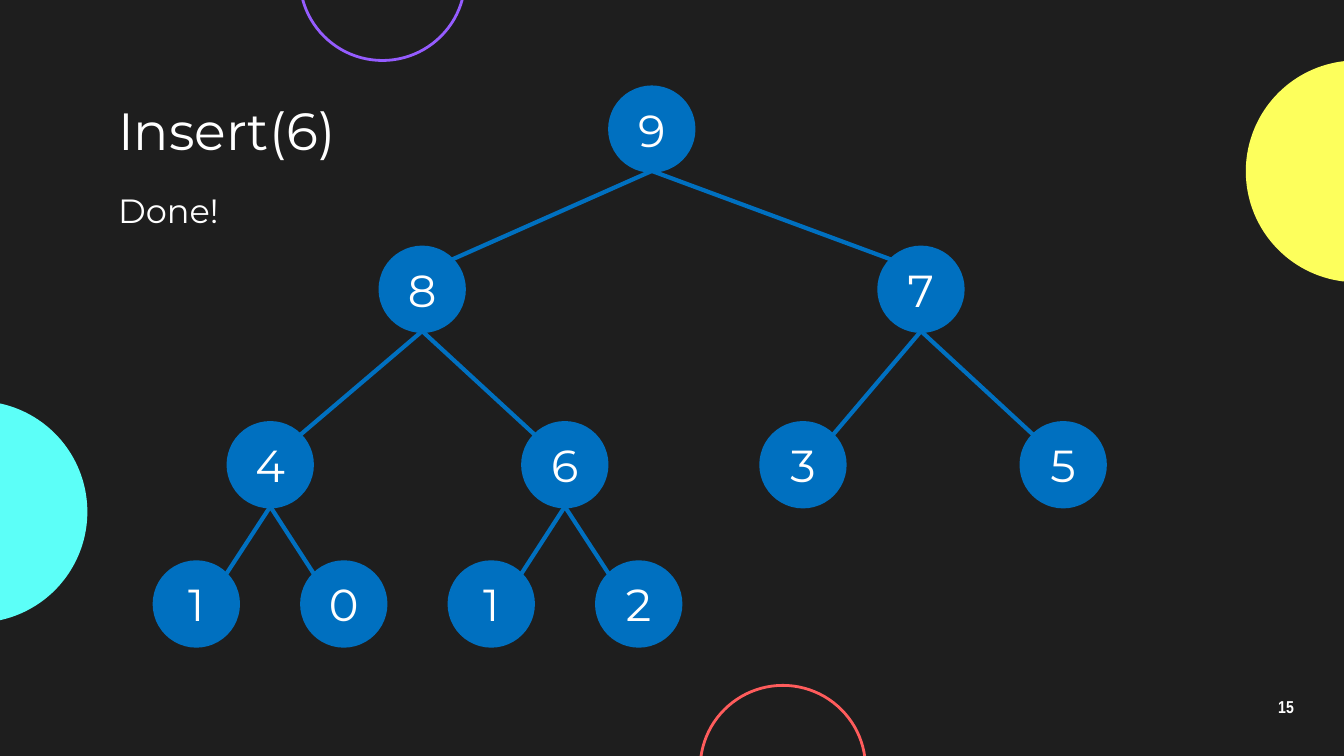
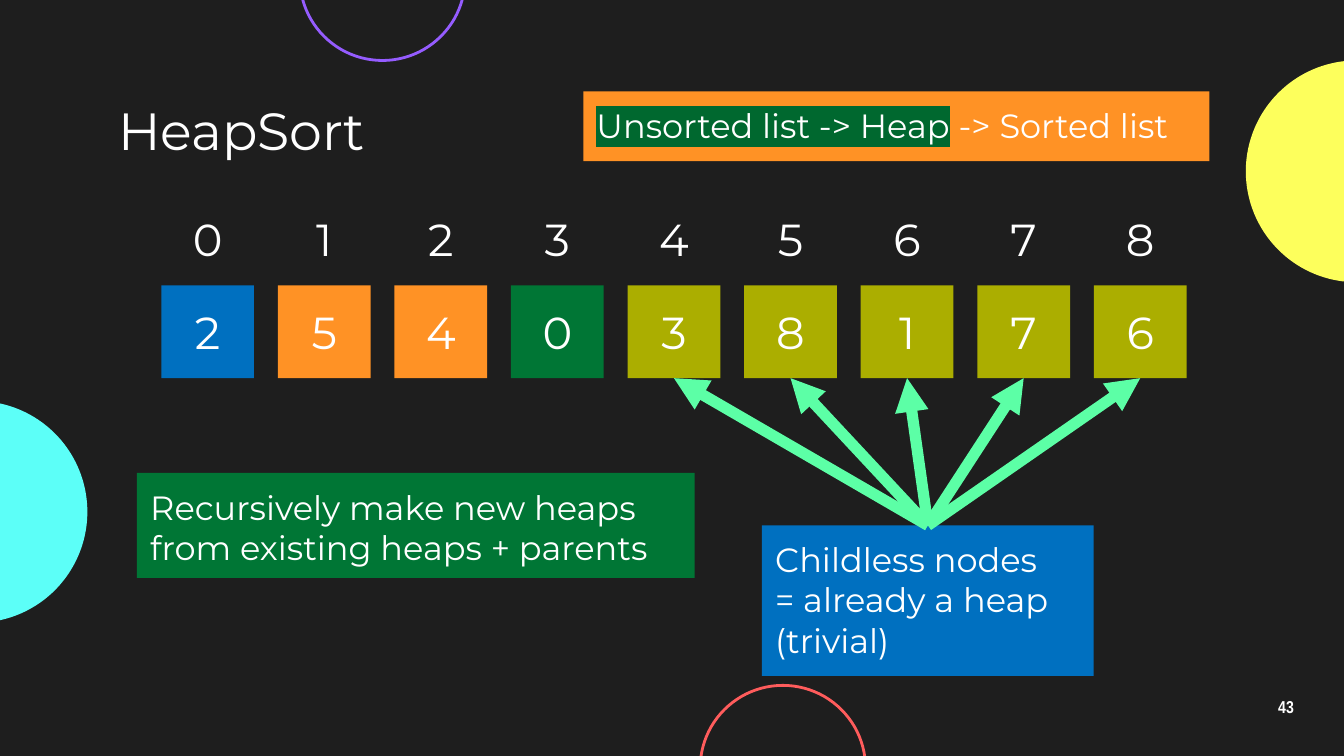
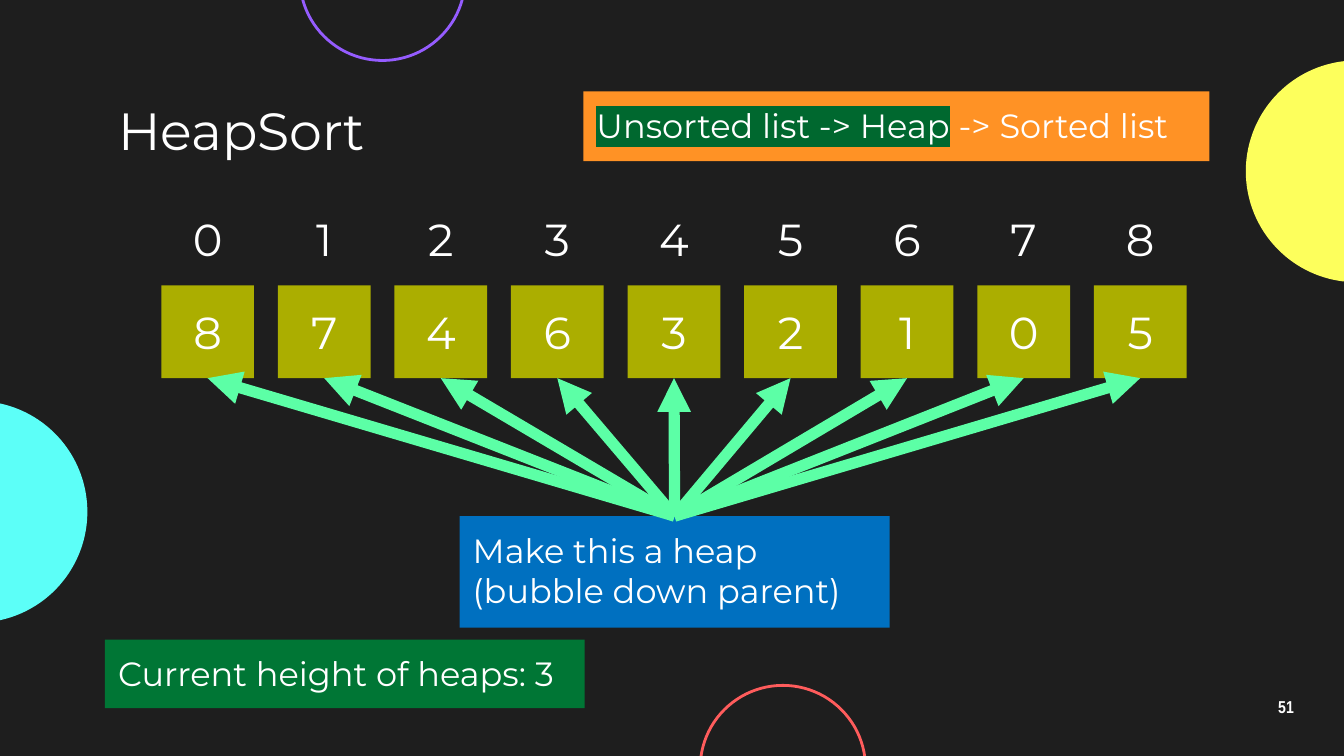
from dataclasses import dataclass

from lxml import etree
from pptx import Presentation
from pptx import util as u
from pptx.dml.color import RGBColor
from pptx.enum import shapes, text
from pptx.oxml import ns


@dataclass(frozen=True)
class Theme:
    background: str = "1E1E1E"
    white: str = "FFFFFF"
    cyan: str = "5CFFF8"
    yellow: str = "FDFF5C"
    purple: str = "955CFF"
    red: str = "FF5C5C"
    blue: str = "0070C0"
    orange: str = "FF9225"
    green: str = "007635"
    highlight: str = "00682F"
    olive: str = "ABAE00"
    mint: str = "5CFFA6"
    font: str = "Montserrat"
    number_font: str = "Arial Narrow"
    title_size: float = 28
    value_size: float = 24
    body_size: float = 18
    number_size: float = 9.2


theme = Theme()
OVAL = shapes.MSO_SHAPE.OVAL
RECTANGLE = shapes.MSO_SHAPE.RECTANGLE


def add_block(slide, box, words="", kind=None, fill=None, line=None, line_width=1.5,
              size=theme.body_size, font=theme.font, bold=False, centered=False,
              middle=False, inset=7.2, spacing=None, marked=""):
    """Add a shape, or a text box without a kind; marked words come first, highlighted."""
    lengths = [u.Pt(value) for value in box]
    if kind is None:
        shape = slide.shapes.add_textbox(*lengths)
    else:
        shape = slide.shapes.add_shape(kind, *lengths)
        shape.shadow.inherit = False
        for format_part, color in ((shape.fill, fill), (shape.line.fill, line)):
            if color:
                format_part.solid()
                format_part.fore_color.rgb = RGBColor.from_string(color)
            else:
                format_part.background()
        if line:
            shape.line.width = u.Pt(line_width)
    if not words:
        return shape

    frame = shape.text_frame
    frame.word_wrap = True
    frame.margin_left = frame.margin_right = u.Pt(7.2)
    frame.margin_top = frame.margin_bottom = u.Pt(inset)
    frame.vertical_anchor = text.MSO_ANCHOR.MIDDLE if middle else text.MSO_ANCHOR.TOP
    for index, sentence in enumerate(words.split("\n")):
        paragraph = frame.add_paragraph() if index else frame.paragraphs[0]
        paragraph.alignment = text.PP_ALIGN.CENTER if centered else text.PP_ALIGN.LEFT
        if spacing:
            paragraph.line_spacing = spacing
        for part in filter(None, (marked if index == 0 else "", sentence)):
            run = paragraph.add_run()
            run.text = part
            run.font.size = u.Pt(size)
            run.font.name = font
            run.font.bold = bold
            run.font.color.rgb = RGBColor.from_string(theme.white)
            if part == marked:
                highlight = etree.Element(ns.qn("a:highlight"))
                etree.SubElement(highlight, ns.qn("a:srgbClr"), val=theme.highlight)
                run.font._element.find(ns.qn("a:solidFill")).addnext(highlight)
    return shape


def add_line(slide, color, width, start=(0, 0), end=(0, 0), arrow=False):
    points = [u.Pt(value) for value in (*start, *end)]
    connector = slide.shapes.add_connector(shapes.MSO_CONNECTOR.STRAIGHT, *points)
    connector.line.color.rgb = RGBColor.from_string(color)
    connector.line.width = u.Pt(width)
    if arrow:
        etree.SubElement(connector.line._get_or_add_ln(), ns.qn("a:tailEnd"), type="triangle")
    etree.SubElement(connector._element.spPr, ns.qn("a:effectLst"))
    return connector


presentation = Presentation()
presentation.slide_width, presentation.slide_height = u.Pt(720), u.Pt(405)
background = presentation.slide_master.background.fill
background.solid()
background.fore_color.rgb = RGBColor.from_string(theme.background)

# Shared frame: corner circles, page number and title
circles = [
    ((-72, 214.8, 118.8, 118.8), theme.cyan, None),
    ((667.4, 32.4, 118.8, 118.8), theme.yellow, None),
    ((160.6, -56.2, 88.6, 88.6), None, theme.purple),
    ((375.1, 367.2, 88.6, 88.6), None, theme.red),
]
slides = []
for title, number in (("Insert(6)", "15"), ("HeapSort", "43"), ("HeapSort", "51")):
    slide = presentation.slides.add_slide(presentation.slide_layouts[6])
    for box, fill, line in circles:
        add_block(slide, box, kind=OVAL, fill=fill, line=line)
    add_block(slide, (667.4, 367.2, 43.2, 24.5), number, size=theme.number_size,
              font=theme.number_font, bold=True, centered=True, middle=True, spacing=0.9)
    add_block(slide, (56.2, 51.1, 607.7, 36.7), title, size=theme.title_size, middle=True)
    slides.append(slide)
tree_slide, *sort_slides = slides

# Heap tree: nodes in level order, so the parent of node i is (i - 1) // 2
diameter = 44.8
radius = diameter / 2
level_centers = [69.2, 155, 249, 323.6]
nodes = [
    ("9", 349.2, 0),
    ("8", 226.2, 1), ("7", 493.4, 1),
    ("4", 144.8, 2), ("6", 302.6, 2), ("3", 430.2, 2), ("5", 569.6, 2),
    ("1", 105.2, 3), ("0", 184.2, 3), ("1", 263.2, 3), ("2", 342.2, 3),
]
for index, (value, x, level) in enumerate(nodes):
    y = level_centers[level]
    add_block(tree_slide, (x - radius, y - radius, diameter, diameter), value, kind=OVAL,
              fill=theme.blue, line=theme.blue, line_width=2, size=theme.value_size,
              centered=True, middle=True, inset=3.6)
    if index:
        _, parent_x, parent_level = nodes[(index - 1) // 2]
        slant = radius * 0.71
        touch_x = x + slant if x < parent_x else x - slant
        add_line(tree_slide, theme.blue, 2.25, (touch_x, y - slant),
                 (parent_x, level_centers[parent_level] + radius))
add_block(tree_slide, (56.2, 94.3, 112.3, 36), "Done!")

# HeapSort steps: cell values, cell fills, blue note, cells it points at, green note
sort_steps = [
    ("254038176",
     [theme.blue] + [theme.orange] * 2 + [theme.green] + [theme.olive] * 5,
     (408.2, 281.5, 177.8, 80.6), "Childless nodes\n= already a heap\n(trivial)", range(4, 9),
     (73.4, 253.4, 298.8, 56.2), "Recursively make new heaps from existing heaps + parents"),
    ("874632105",
     [theme.olive] * 9,
     (246.2, 276.5, 230.4, 59.8), "Make this a heap\n(bubble down parent)", range(9),
     (56.2, 342.7, 257, 36.7), "Current height of heaps: 3"),
]
cell_left, cell_pitch, cell_side = 86.4, 62.45, 49.7
for slide, step in zip(sort_slides, sort_steps):
    values, fills, note_box, note_words, targets, status_box, status_words = step
    add_block(slide, (312.5, 49, 335.5, 37.4), " -> Sorted list", kind=RECTANGLE,
              fill=theme.orange, marked="Unsorted list -> Heap")

    # Array cells with their indices above
    cells = []
    for index, (value, fill) in enumerate(zip(values, fills)):
        left = cell_left + index * cell_pitch
        value_format = dict(size=theme.value_size, centered=True, middle=True, inset=3.6)
        cells.append(add_block(slide, (left, 152.9, cell_side, cell_side), value,
                               kind=RECTANGLE, fill=fill, **value_format))
        add_block(slide, (left, 112.6, cell_side, 30.2), str(index), **value_format)

    # Notes, and arrows from the blue note to its cells
    add_block(slide, status_box, status_words, kind=RECTANGLE, fill=theme.green)
    note = add_block(slide, note_box, note_words, kind=RECTANGLE, fill=theme.blue)
    for target in targets:
        arrow = add_line(slide, theme.mint, 6, arrow=True)
        arrow.begin_connect(note, 0)
        arrow.end_connect(cells[target], 2)

presentation.save("out.pptx")
